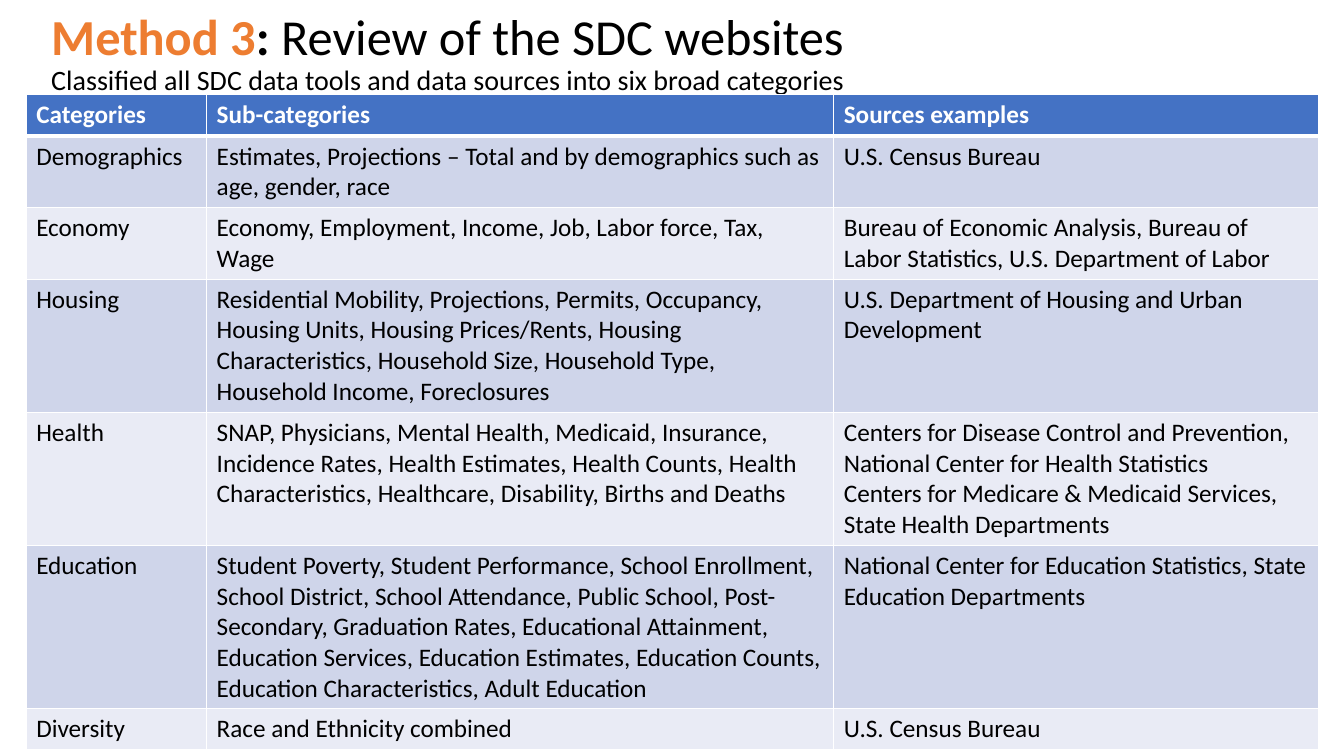
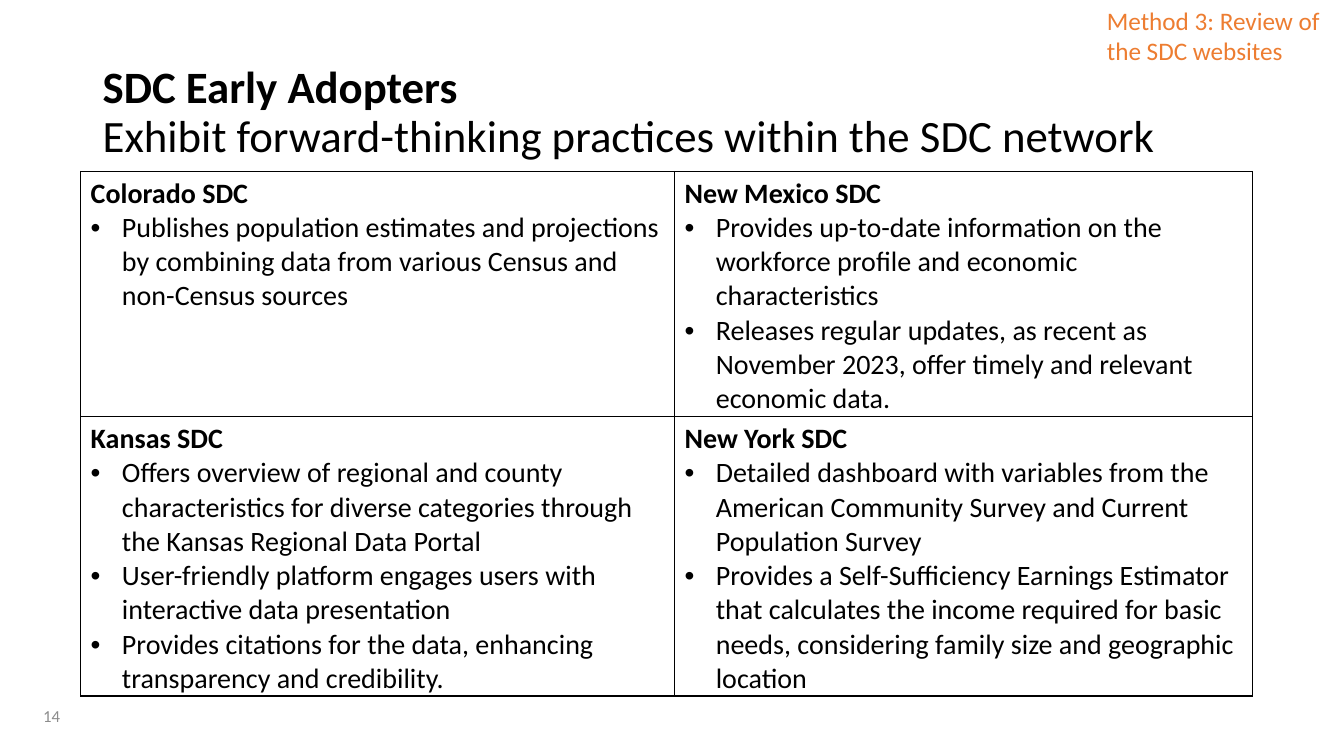
"""Build two slides on the review of the SDC websites."""
from lxml import etree
from pptx import Presentation
from pptx.dml.color import RGBColor
from pptx.enum.text import MSO_ANCHOR
from pptx.oxml.ns import qn
from pptx.util import Inches, Pt

FONT = "Calibri"
BLACK = RGBColor(0x00, 0x00, 0x00)
WHITE = RGBColor(0xFF, 0xFF, 0xFF)
ORANGE = RGBColor(0xED, 0x7D, 0x31)
GREY = RGBColor(0x8C, 0x8C, 0x8C)
BLUE = RGBColor(0x44, 0x72, 0xC4)
BANDS = (RGBColor(0xCF, 0xD5, 0xEA), RGBColor(0xE9, 0xEB, 0xF5))
MIDDLE = MSO_ANCHOR.MIDDLE
TOP = MSO_ANCHOR.TOP
BULLET_INDENT = Inches(0.31)

CATEGORY_COLUMNS = (1.79, 6.22, 4.81)
CATEGORY_HEIGHTS = (0.41, 0.71, 0.71, 1.32, 1.32, 1.62, 0.41)
CATEGORY_ROWS = (
    ("Categories", "Sub-categories", "Sources examples"),
    ("Demographics",
     "Estimates, Projections – Total and by demographics such as age, gender, race",
     "U.S. Census Bureau"),
    ("Economy",
     "Economy, Employment, Income, Job, Labor force, Tax, Wage",
     "Bureau of Economic Analysis, Bureau of Labor Statistics, U.S. Department of Labor"),
    ("Housing",
     "Residential Mobility, Projections, Permits, Occupancy, Housing Units, "
     "Housing Prices/Rents, Housing Characteristics, Household Size, "
     "Household Type, Household Income, Foreclosures",
     "U.S. Department of Housing and Urban Development"),
    ("Health",
     "SNAP, Physicians, Mental Health, Medicaid, Insurance, Incidence Rates, "
     "Health Estimates, Health Counts, Health Characteristics, Healthcare, "
     "Disability, Births and Deaths",
     "Centers for Disease Control and Prevention, National Center for Health Statistics\n"
     "Centers for Medicare & Medicaid Services, State Health Departments"),
    ("Education",
     "Student Poverty, Student Performance, School Enrollment, School District, "
     "School Attendance, Public School, Post-Secondary, Graduation Rates, "
     "Educational Attainment, Education Services, Education Estimates, "
     "Education Counts, Education Characteristics, Adult Education",
     "National Center for Education Statistics, State Education Departments"),
    ("Diversity", "Race and Ethnicity combined", "U.S. Census Bureau"),
)

ADOPTER_COLUMNS = (5.89, 5.73)
ADOPTER_HEIGHTS = (2.43, 2.77)
ADOPTER_ROWS = (
    (("Colorado SDC",
      "Publishes population estimates and projections by combining data "
      "from various Census and non-Census sources"),
     ("New Mexico SDC",
      "Provides up-to-date information on the workforce profile "
      "and economic characteristics",
      "Releases regular updates, as recent as November 2023, offer timely "
      "and relevant economic data.")),
    (("Kansas SDC",
      "Offers overview of regional and county characteristics for "
      "diverse categories through the Kansas Regional Data Portal",
      "User-friendly platform engages users with interactive data presentation",
      "Provides citations for the data, enhancing transparency and credibility."),
     ("New York SDC",
      "Detailed dashboard with variables from the American Community Survey "
      "and Current Population Survey",
      "Provides a Self-Sufficiency Earnings Estimator that calculates the income "
      "required for basic needs, considering family size and geographic location")),
)


def style_font(font, size, color=BLACK, bold=False):
    """Set typeface, size, colour and weight."""
    font.name = FONT
    font.size = Pt(size)
    font.color.rgb = color
    font.bold = bold


def add_text_frame(slide, left, top, width, height, anchor):
    """Add a wrapping text box and return its text frame."""
    box = slide.shapes.add_textbox(Inches(left), Inches(top), Inches(width), Inches(height))
    frame = box.text_frame
    frame.word_wrap = True
    frame.vertical_anchor = anchor
    return frame


def add_label(slide, text, place, size, color, anchor):
    """Add a one-style label."""
    frame = add_text_frame(slide, *place, anchor)
    frame.text = text
    style_font(frame.paragraphs[0].runs[0].font, size, color)


def add_title(slide, place, lines):
    """Add a title whose lines are lists of (text, size, colour, bold)."""
    title = add_text_frame(slide, *place, MIDDLE).paragraphs[0]
    title.line_spacing = 0.9
    for number, line in enumerate(lines):
        if number:
            title.add_line_break()
        for text, size, color, bold in line:
            run = title.add_run()
            run.text = text
            style_font(run.font, size, color, bold)


def add_bullet(paragraph):
    """Give a paragraph a hanging round bullet."""
    properties = paragraph._p.get_or_add_pPr()
    properties.set("marL", str(BULLET_INDENT))
    properties.set("indent", str(-BULLET_INDENT))
    color = etree.SubElement(properties, qn("a:buClr"))
    etree.SubElement(color, qn("a:srgbClr"), val=str(BLACK))
    etree.SubElement(properties, qn("a:buFont"), typeface="Arial")
    etree.SubElement(properties, qn("a:buChar"), char="•")


def set_borders(cell, color, bottom=1, top=1):
    """Draw the four borders of a cell, widths in points."""
    properties = cell._tc.get_or_add_tcPr()
    widths = {"a:lnL": 1, "a:lnR": 1, "a:lnT": top, "a:lnB": bottom}
    for position, (tag, width) in enumerate(widths.items()):
        line = etree.Element(qn(tag), w=str(Pt(width)))
        fill = etree.SubElement(line, qn("a:solidFill"))
        etree.SubElement(fill, qn("a:srgbClr"), val=str(color))
        properties.insert(position, line)


def add_grid(slide, left, top, columns, heights):
    """Add a plain table with the given column widths and row heights."""
    table = slide.shapes.add_table(
        len(heights), len(columns), Inches(left), Inches(top),
        Inches(sum(columns)), Inches(sum(heights))).table
    table.first_row = False
    table.horz_banding = False
    for column, width in zip(table.columns, columns):
        column.width = Inches(width)
    for row, height in zip(table.rows, heights):
        row.height = Inches(height)
    return table


def fill_categories(table):
    """Write the banded table of categories."""
    for row, texts in enumerate(CATEGORY_ROWS):
        header = row == 0
        for column, text in enumerate(texts):
            cell = table.cell(row, column)
            cell.text_frame.text = text
            cell.fill.solid()
            cell.fill.fore_color.rgb = BLUE if header else BANDS[(row - 1) % 2]
            set_borders(cell, WHITE, 3 if header else 1, 3 if row == 1 else 1)
            for paragraph in cell.text_frame.paragraphs:
                style_font(paragraph.runs[0].font, 18, WHITE if header else BLACK, header)


def fill_adopters(table):
    """Write the grid of early adopters, a bold name above bullets."""
    for row, adopters in enumerate(ADOPTER_ROWS):
        for column, lines in enumerate(adopters):
            cell = table.cell(row, column)
            cell.text_frame.text = "\n".join(lines)
            cell.fill.background()
            set_borders(cell, BLACK)
            for number, paragraph in enumerate(cell.text_frame.paragraphs):
                if number:
                    add_bullet(paragraph)
                style_font(paragraph.runs[0].font, 20, BLACK, number == 0)


def build_categories_slide(slide):
    """Show the six categories of tools and sources."""
    add_title(slide, (0.41, 0.06, 11.84, 0.95), (
        (("Method 3", 36, ORANGE, True), (": ", 36, BLACK, True),
         ("Review of the SDC websites", 36, BLACK, False)),
        (("Classified all SDC data tools and data sources into six broad categories",
          20, BLACK, False),),
    ))
    fill_categories(add_grid(slide, 0.26, 0.94, CATEGORY_COLUMNS, CATEGORY_HEIGHTS))


def build_adopters_slide(slide):
    """Show the practices of four early adopters."""
    add_title(slide, (0.92, 0.4, 11.5, 1.45), (
        (("SDC Early Adopters", 32, BLACK, True),),
        (("Exhibit forward-thinking practices within the SDC network", 32, BLACK, False),),
    ))
    add_label(slide, "14", (0.33, 6.9, 3, 0.4), 12, GREY, MIDDLE)
    add_label(slide, "Method 3: Review of the SDC websites",
              (10.88, 0, 2.36, 0.7), 18, ORANGE, TOP)
    fill_adopters(add_grid(slide, 0.8, 1.7, ADOPTER_COLUMNS, ADOPTER_HEIGHTS))


def main():
    """Build and save the presentation."""
    deck = Presentation()
    deck.slide_width = Inches(13.33)
    deck.slide_height = Inches(7.5)
    for build in (build_categories_slide, build_adopters_slide):
        build(deck.slides.add_slide(deck.slide_layouts[6]))
    deck.save("out.pptx")


if __name__ == "__main__":
    main()
